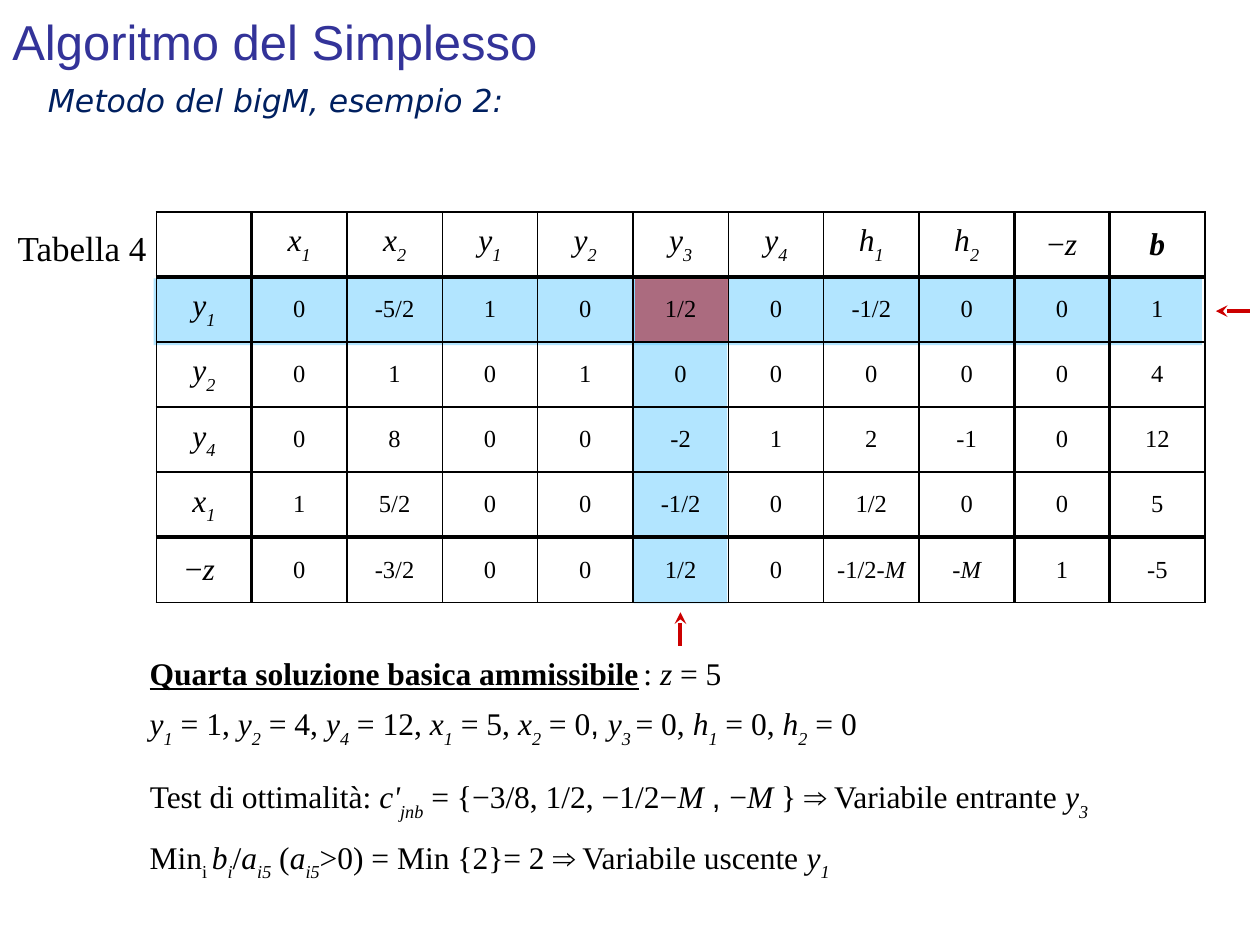
import pptx
import pptx.util
import pptx.dml.color
import pptx.enum.shapes
import pptx.enum.text
import pptx.oxml.ns
from lxml import etree

Pt = pptx.util.Pt
qn = pptx.oxml.ns.qn
align = pptx.enum.text.PP_ALIGN

theme = {
    "serif": "Times New Roman", "sans": "Arial", "sub": "DejaVu Sans",
    "black": "000000", "title": "333399", "navy": "002060",
    "blue": "66CCFF", "red": "CC0000",
    "big": 28, "label": 20, "body": 18, "cell": 14,
    "thin": 1, "thick": 2.25, "base": "-30000",
}

# Markup: * italic, ~ subscript, # bold, _ underline, ^ sans
marks = "*~#_^"

head = ["", "*x~1", "*x~2", "*y~1", "*y~2", "*y~3", "*y~4",
        "*h~1", "*h~2", "−*z", "#*b"]
rows = [
    ["*y~1", "0", "-5/2", "1", "0", "1/2", "0", "-1/2", "0", "0", "1"],
    ["*y~2", "0", "1", "0", "1", "0", "0", "0", "0", "0", "4"],
    ["*y~4", "0", "8", "0", "0", "-2", "1", "2", "-1", "0", "12"],
    ["*x~1", "1", "5/2", "0", "0", "-1/2", "0", "1/2", "0", "0", "5"],
    ["−*z ", "0", "-3/2", "0", "0", "1/2", "0", "-1/2-*M", "-*M", "1", "-5"],
]
bands = [
    ((87.8, 159.1, 599, 38.2), "blue"),
    ((362.2, 159.8, 53.3, 185), "blue"),
    ((362.9, 159.1, 53.3, 36.7), "red"),
]
arrows = [(388.8, 349.9, 388.8, 369.4), (694.8, 177.8, 714.2, 177.8)]
texts = [
    ((78.5, 440.6, 611.3, 36),
     "Test di ottimalità: *c'~jnb~* = {−3/8, 1/2, −1/2−*M *^, ^−*M *} ⇒ "
     "Variabile entrante *y~3", "serif", "body", "black", align.JUSTIFY),
    ((78.5, 475.2, 568.8, 28.8),
     "Min~i ~*b~i~*/*a~i5~* (*a~i5~*>0) = Min {2}= 2 ⇒ Variabile uscente *y~1",
     "serif", "body", "black", align.JUSTIFY),
    ((-5, 126, 95.8, 31), "Tabella 4", "serif", "label", "black", align.RIGHT),
    ((78.5, 398.9, 568.8, 36),
     "*y~1~* = 1, *y~2~* = 4, *y~4~* = 12, *x~1~* = 5, *x~2~* = 0^, ^"
     "*y~3 ~*= 0, *h~1~* = 0, *h~2~* = 0 ",
     "serif", "body", "black", align.JUSTIFY),
    ((78.5, 370.1, 568.8, 36),
     "#_Quarta soluzione basica ammissibile_#*~ ~*: *z* = 5 ",
     "serif", "body", "black", align.JUSTIFY),
    ((0, -2.2, 648, 51.1), "Algoritmo del Simplesso",
     "sans", "big", "title", align.LEFT),
    ((20.2, 42.5, 613.4, 28.8), "*Metodo del bigM, esempio 2:",
     "sub", "body", "navy", align.LEFT),
]
left, top, wide, high = 89.3, 121, 54.5, 37.2
heavy_x, heavy_y = {1, 9, 10}, {1, 5}


def rgb(name):
    return pptx.dml.color.RGBColor.from_string(theme[name])


def split(text):
    on, part = set(), ""
    for char in text:
        if char in marks:
            if part:
                yield part, frozenset(on)
            on ^= {char}
            part = ""
        else:
            part += char
    if part:
        yield part, frozenset(on)


def write(para, text, face, size, color, side):
    para.alignment = side
    font = para.font
    font.name, font.size = theme[face], Pt(theme[size])
    font.color.rgb = rgb(color)
    parts = list(split(text))
    slant = bool(parts) and all("*" in on for part, on in parts)
    if slant:
        font.italic = True
    for part, on in parts:
        run = para.add_run()
        run.text = part
        if "*" in on and not slant:
            run.font.italic = True
        if "#" in on:
            run.font.bold = True
        if "_" in on:
            run.font.underline = True
        if "^" in on:
            run.font.name = theme["sans"]
        if "~" in on:
            run.font._element.set("baseline", theme["base"])


def edge(cell, side, heavy):
    width = Pt(theme["thick" if heavy else "thin"])
    line = etree.SubElement(cell._tc.get_or_add_tcPr(), qn("a:ln" + side),
                            w=str(int(width)))
    fill = etree.SubElement(line, qn("a:solidFill"))
    etree.SubElement(fill, qn("a:srgbClr"), val=theme["black"])


def add_band(slide, box, color):
    kind = pptx.enum.shapes.MSO_SHAPE.RECTANGLE
    band = slide.shapes.add_shape(kind, *map(Pt, box))
    band.shadow.inherit = False
    band.fill.solid()
    band.fill.fore_color.rgb = rgb(color)
    tint = band._element.spPr.find(".//" + qn("a:srgbClr"))
    etree.SubElement(tint, qn("a:alpha"), val="50000")
    band.line.fill.background()


def add_arrow(slide, ends):
    kind = pptx.enum.shapes.MSO_CONNECTOR.STRAIGHT
    arrow = slide.shapes.add_connector(kind, *map(Pt, ends))
    arrow.line.color.rgb = rgb("red")
    arrow.line.width = Pt(theme["thick"])
    etree.SubElement(arrow.line._get_or_add_ln(), qn("a:headEnd"),
                     type="stealth")
    etree.SubElement(arrow._element.spPr, qn("a:effectLst"))


def add_grid(slide):
    cells = [head] + rows
    tall, count = len(cells), len(head)
    grid = slide.shapes.add_table(tall, count, Pt(left), Pt(top),
                                  Pt(wide * count), Pt(high * tall)).table
    grid.first_row = grid.horz_banding = False
    for col in grid.columns:
        col.width = Pt(wide)
    for r, row in enumerate(cells):
        grid.rows[r].height = Pt(high)
        for c, text in enumerate(row):
            cell = grid.cell(r, c)
            cell.vertical_anchor = pptx.enum.text.MSO_ANCHOR.MIDDLE
            for side, heavy in (("L", c in heavy_x), ("R", c + 1 in heavy_x),
                                ("T", r in heavy_y), ("B", r + 1 in heavy_y)):
                edge(cell, side, heavy)
            cell.fill.background()
            if text == "-1/2-*M":
                cell.margin_left = cell.margin_right = Pt(1.4)
            size = "cell" if r and c else "body"
            write(cell.text_frame.paragraphs[0], text, "serif", size,
                  "black", align.CENTER)


def add_text(slide, box, text, face, size, color, side):
    frame = slide.shapes.add_textbox(*map(Pt, box)).text_frame
    frame.word_wrap = True
    if size == "big":
        frame.vertical_anchor = pptx.enum.text.MSO_ANCHOR.MIDDLE
    else:
        frame.auto_size = pptx.enum.text.MSO_AUTO_SIZE.SHAPE_TO_FIT_TEXT
    write(frame.paragraphs[0], text, face, size, color, side)


def main():
    deck = pptx.Presentation()
    deck.slide_width, deck.slide_height = Pt(720), Pt(540)
    slide = deck.slides.add_slide(deck.slide_layouts[6])
    for band in bands:
        add_band(slide, *band)
    for ends in arrows:
        add_arrow(slide, ends)
    add_grid(slide)
    for item in texts:
        add_text(slide, *item)
    deck.save("out.pptx")


if __name__ == "__main__":
    main()
